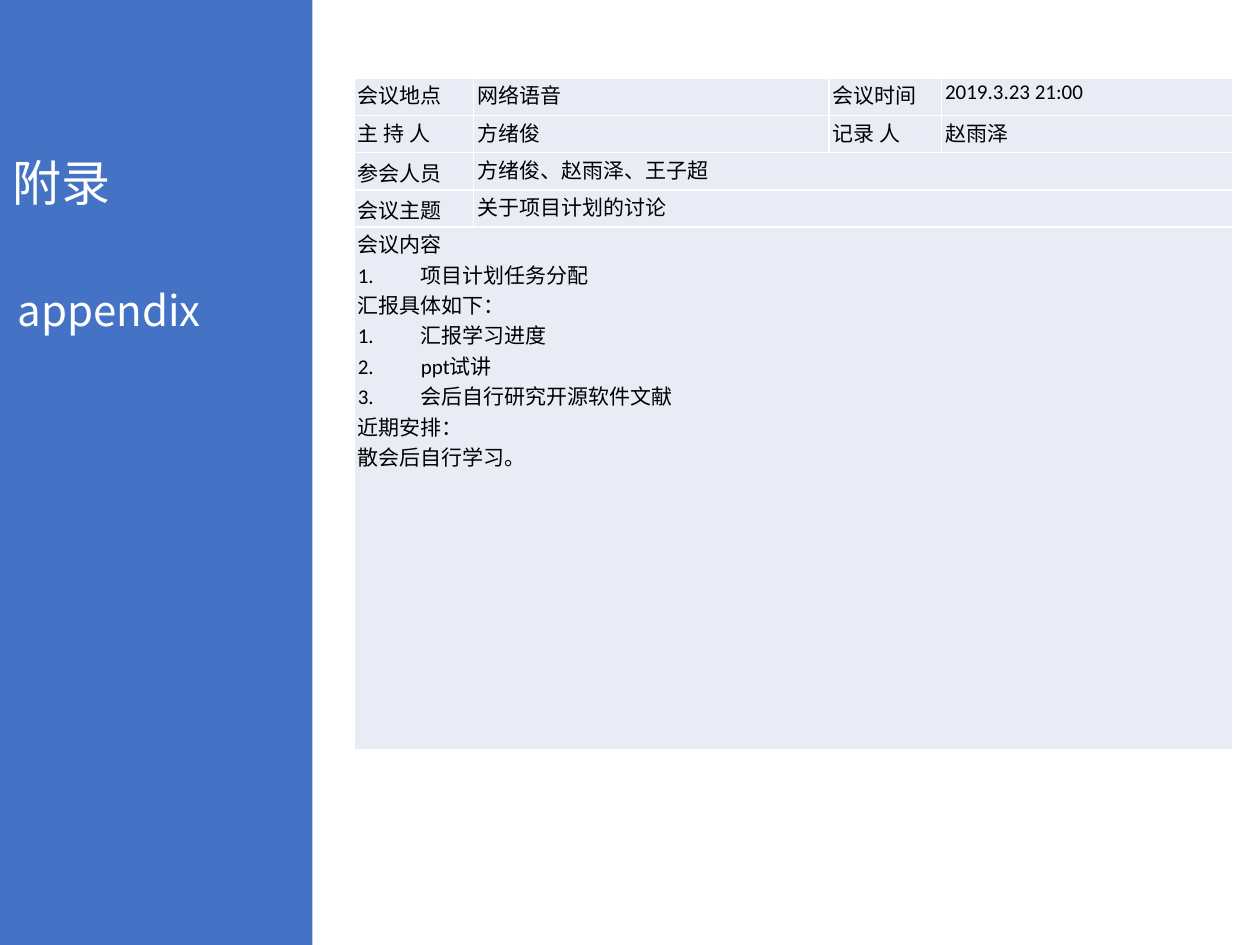
from lxml.etree import SubElement
from pptx import Presentation
from pptx.dml.color import RGBColor
from pptx.enum.shapes import MSO_SHAPE as Shape
from pptx.enum.text import MSO_ANCHOR as Anchor, PP_ALIGN as Align
from pptx.oxml.ns import qn
from pptx.util import Pt

BLUE, WHITE, BLACK, PALE = "4472C4", "FFFFFF", "000000", "E9EBF5"
LATIN, CJK = "Calibri", "Noto Sans CJK SC"

COLUMNS = [68.4, 203.1, 64.1, 166.4]
ROWS = [21.25] * 4 + [298.8]
FACTS = [
    ["会议地点", "网络语音", "会议时间", "2019.3.23 21:00"],
    ["主 持 人", "方绪俊", "记录 人", "赵雨泽"],
    ["参会人员", "方绪俊、赵雨泽、王子超"],
    ["会议主题", "关于项目计划的讨论"],
]
MINUTES = [
    "会议内容",
    "1.\t项目计划任务分配",
    "汇报具体如下：",
    "1.\t汇报学习进度",
    "2.\tppt试讲",
    "3.\t会后自行研究开源软件文献",
    "近期安排：",
    "散会后自行学习。",
]


def paint(color_format, color):
    """Set a colour format from a hex string."""
    color_format.rgb = RGBColor.from_string(color)


def write(frame, lines, size, color, latin, align=None):
    """Fill a text frame with one paragraph per line."""
    frame.text = "\n".join(lines)
    for paragraph in frame.paragraphs:
        paragraph.alignment = align
        paragraph.font.size = Pt(size)
        paragraph.font.name = latin
        paint(paragraph.font.color, color)
        for run in paragraph.runs:
            run.font.size = Pt(size)
            run.font.name = latin
            paint(run.font.color, color)
            SubElement(run.font._element, qn("a:ea"), typeface=CJK)


def add_sidebar(slide, left, top, width, height):
    """Draw the blue band with the two-language heading."""
    band = slide.shapes.add_shape(
        Shape.RECTANGLE, Pt(left), Pt(top), Pt(width), Pt(height))
    band.shadow.inherit = False
    band.fill.solid()
    paint(band.fill.fore_color, BLUE)
    band.line.fill.background()
    headings = [("附录", 3.6, 83.5, 175.7, 41, 28),
                ("appendix", 6.5, 159.1, 157, 36, 24)]
    for heading, x, y, w, h, size in headings:
        box = slide.shapes.add_textbox(
            Pt(left + x), Pt(top + y), Pt(w), Pt(h))
        box.text_frame.word_wrap = True
        write(box.text_frame, [heading], size, WHITE, CJK)


def style_cell(cell):
    """Give a cell its fill, narrow margins and white borders."""
    cell.margin_left = cell.margin_right = Pt(2.2)
    cell.margin_top, cell.margin_bottom = Pt(0.7), Pt(0)
    properties = cell._tc.get_or_add_tcPr()
    for side in ("a:lnL", "a:lnR", "a:lnT", "a:lnB"):
        line = SubElement(properties, qn(side), w=str(Pt(1)))
        fill = SubElement(line, qn("a:solidFill"))
        SubElement(fill, qn("a:srgbClr"), val=WHITE)
    cell.fill.solid()
    paint(cell.fill.fore_color, PALE)


def add_minutes(slide, left, top):
    """Build the table of meeting facts and minutes."""
    minutes = slide.shapes.add_table(
        len(ROWS), len(COLUMNS), Pt(left), Pt(top),
        Pt(sum(COLUMNS)), Pt(sum(ROWS))).table
    minutes.first_row = minutes.horz_banding = False
    for column, width in zip(minutes.columns, COLUMNS):
        column.width = Pt(width)
    for row, height in zip(minutes.rows, ROWS):
        row.height = Pt(height)
    for cell in minutes.iter_cells():
        style_cell(cell)

    entries = [[[fact] for fact in facts] for facts in FACTS] + [[MINUTES]]
    last = len(COLUMNS) - 1
    for r, row_entries in enumerate(entries):
        end = len(row_entries) - 1
        if end < last:
            minutes.cell(r, end).merge(minutes.cell(r, last))
        if end == 1:
            minutes.cell(r, 0).vertical_anchor = Anchor.MIDDLE
        for c, lines in enumerate(row_entries):
            write(minutes.cell(r, c).text_frame, lines, 12, BLACK, LATIN,
                  Align.JUSTIFY)


def main():
    """Build and save the appendix slide."""
    deck = Presentation()
    deck.slide_width, deck.slide_height = Pt(720), Pt(540)
    slide = deck.slides.add_slide(deck.slide_layouts[6])
    add_sidebar(slide, -3.6, 0, 182.2, 540)
    add_minutes(slide, 202.3, 44.8)
    deck.save("out.pptx")


main()
